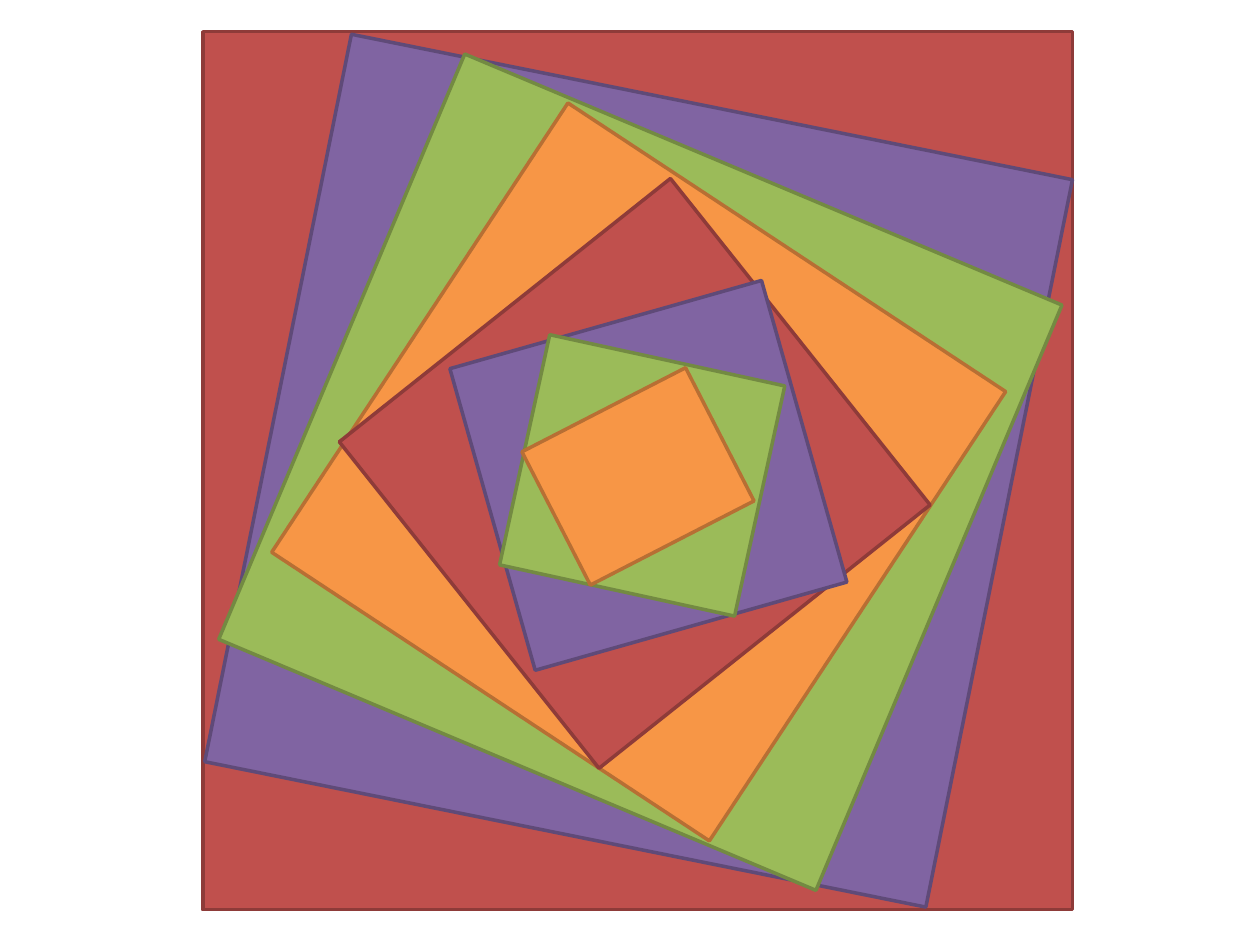
"""Build a slide of nested squares, each turned further than the one around it."""
from itertools import cycle

from pptx import Presentation
from pptx.dml.color import RGBColor
from pptx.enum.shapes import MSO_SHAPE
from pptx.util import Cm, Pt

RECT = MSO_SHAPE.RECTANGLE

RED, DARK_RED = RGBColor(0xC0, 0x50, 0x4D), RGBColor(0x8E, 0x3B, 0x39)
PURPLE, DARK_PURPLE = RGBColor(0x80, 0x64, 0xA2), RGBColor(0x5F, 0x4A, 0x78)
GREEN, DARK_GREEN = RGBColor(0x9B, 0xBB, 0x59), RGBColor(0x73, 0x8A, 0x42)
ORANGE, DARK_ORANGE = RGBColor(0xF7, 0x96, 0x46), RGBColor(0xB7, 0x6F, 0x34)

COLORS = [(RED, DARK_RED), (PURPLE, DARK_PURPLE),
          (GREEN, DARK_GREEN), (ORANGE, DARK_ORANGE)]

SQUARES = [
    (4.09, 0.64, 17.53, 17.7, 0),
    (5.46, 2.01, 14.83, 14.96, 11.4),
    (6.38, 3.12, 13.06, 12.8, 22.8),
    (7.59, 4.09, 10.57, 10.85, 33.4),
    (8.59, 5.28, 8.41, 8.53, 51.5),
    (9.91, 6.32, 6.32, 6.53, 74.2),
    (10.57, 7.16, 4.75, 4.85, 102.3),
    (11.35, 7.75, 3.02, 3.71, 62.8),
]


class Canvas:
    def __init__(self, s, line_width=Pt(2)):
        self.s = s
        self.line_width = line_width

    def rect(self, left, top, width, height, rotation, fill, line):
        sp = self.s.shapes.add_shape(RECT, Cm(left), Cm(top), Cm(width), Cm(height))
        sp.rotation = rotation
        sp.shadow.inherit = False
        sp.fill.solid()
        sp.fill.fore_color.rgb = fill
        sp.line.color.rgb = line
        sp.line.width = self.line_width
        return sp


def main():
    prs = Presentation()
    prs.slide_width, prs.slide_height = Cm(25.4), Cm(19.05)
    canvas = Canvas(prs.slides.add_slide(prs.slide_layouts[6]))
    for square, (fill, line) in zip(SQUARES, cycle(COLORS)):
        canvas.rect(*square, fill, line)
    prs.save("out.pptx")


if __name__ == "__main__":
    main()
